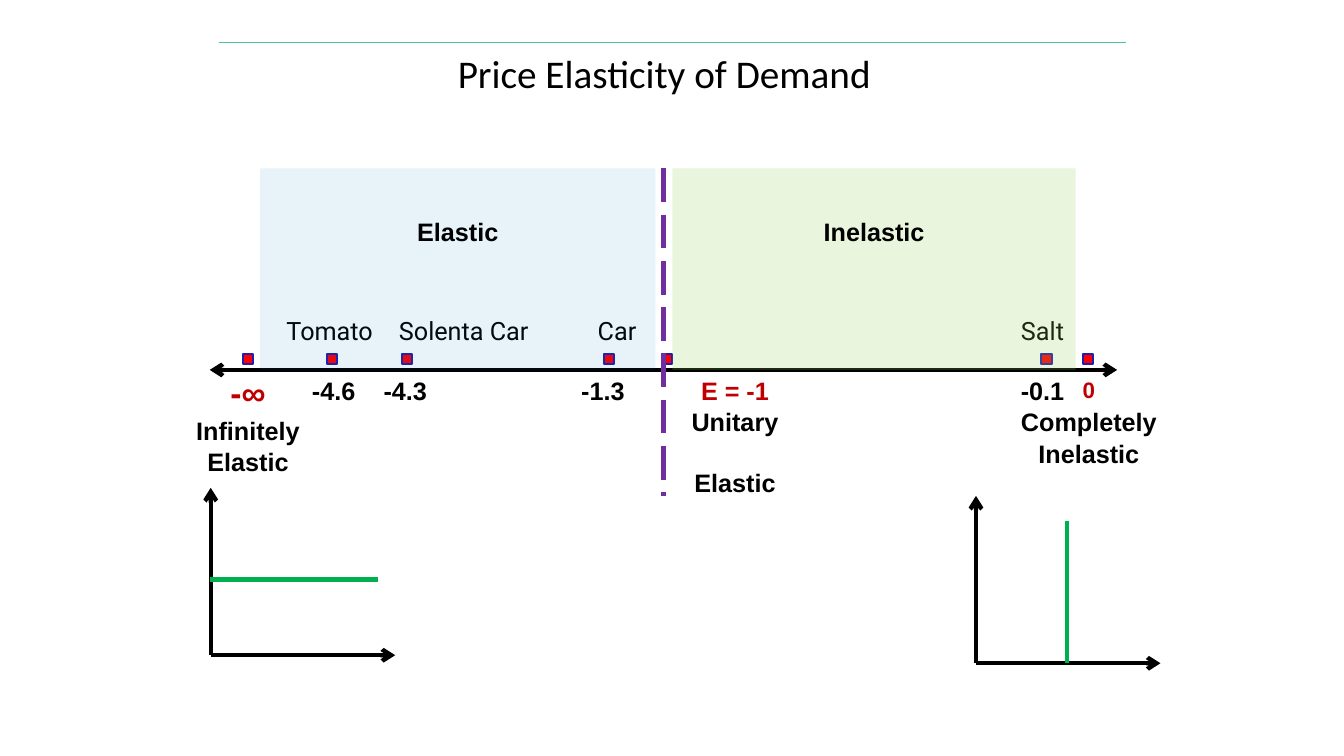
from lxml import etree
from pptx import Presentation
from pptx.dml.color import RGBColor
from pptx.enum import dml, shapes, text
from pptx.oxml import ns
from pptx.util import Inches, Pt

BLACK = RGBColor(0, 0, 0)
DARK_RED = RGBColor(0xC0, 0, 0)
RED = RGBColor(0xFF, 0, 0)
NAVY = RGBColor(0x1F, 0x1F, 0xAC)
PURPLE = RGBColor(0x6F, 0x2F, 0x9F)
GREEN = RGBColor(0, 0xAF, 0x50)
TEAL = RGBColor(0x52, 0xBD, 0x94)
LIME = RGBColor(0x92, 0xD0, 0x50)
BLUE = RGBColor(0, 0x6F, 0xC0)

TITLE = "Price Elasticity of Demand"
AXIS_Y, REGION_TOP, DIVIDER_X = 3.67, 1.67, 6.58
MARK_SIZE, MARK_Y = 0.1, 3.56
MARKS = [2.46, 3.29, 4.04, 6.04, 6.62, 10.38, 10.79]  # centres
PRODUCTS = [("Tomato", 3.27), ("Solenta Car", 4.6), ("Car", 6.12), ("Salt", 10.34)]
VALUES = [("-4.6", 3.31), ("-4.3", 4.02), ("-1.3", 5.98), ("-0.1", 10.34)]
# name, left, width, colour, opacity in percent
REGIONS = [("Inelastic", 6.67, 4, LIME, 20), ("Elastic", 2.58, 3.92, BLUE, 9)]
# origin of each small demand graph, then the ends of its demand line
GRAPHS = [((2.09, 6.5), (3.75, 5.75), (2.08, 5.75)),
          ((9.68, 6.58), (10.58, 6.58), (10.58, 5.17))]
GRAPH_W, GRAPH_H = 1.83, 1.66

prs = Presentation()
prs.slide_width, prs.slide_height = Inches(13.33), Inches(7.5)
s = prs.slides.add_slide(prs.slide_layouts[5])


def zero_margins(tf):
    tf.margin_left = tf.margin_right = tf.margin_top = tf.margin_bottom = 0


def label(lines, cx, top, width=1.4, size=18, font="Arial", bold=True,
          color=BLACK, first=None, gaps=()):
    """Centre lines on cx; first overrides (size, colour) of the first line,
    gaps gives the space in points before each later line."""
    sp = s.shapes.add_textbox(Inches(cx - width / 2), Inches(top), Inches(width),
                              Inches(0.31 * len(lines)))
    tf = sp.text_frame
    tf.word_wrap = True
    zero_margins(tf)
    for i, line in enumerate(lines):
        p = tf.paragraphs[0] if i == 0 else tf.add_paragraph()
        p.alignment = text.PP_ALIGN.CENTER
        if i:
            p.space_before = Pt(gaps[i - 1])
        r = p.add_run()
        r.text = line
        f = r.font
        f.name, f.bold = font, bold
        line_size, f.color.rgb = first if first and i == 0 else (size, color)
        f.size = Pt(line_size)


def line(start, end, color, width=3, arrows=(), dash=None):
    """arrows may hold headEnd (at start) and tailEnd (at end)."""
    c = s.shapes.add_connector(shapes.MSO_CONNECTOR.STRAIGHT,
                               *[Inches(v) for v in (*start, *end)])
    c.line.color.rgb, c.line.width = color, Pt(width)
    if dash:
        c.line.dash_style = dash
    ln = c.line._get_or_add_ln()
    for tag in arrows:
        etree.SubElement(ln, ns.qn("a:" + tag), type="arrow")
    etree.SubElement(c._element.spPr, ns.qn("a:effectLst"))


def rectangle(left, top, width, height, fill, opacity=100, outline=None):
    sp = s.shapes.add_shape(shapes.MSO_SHAPE.RECTANGLE,
                            *[Inches(v) for v in (left, top, width, height)])
    sp.shadow.inherit = False
    sp.fill.solid()
    sp.fill.fore_color.rgb = fill
    if opacity < 100:
        clr = sp._element.spPr.find(".//" + ns.qn("a:srgbClr"))
        etree.SubElement(clr, ns.qn("a:alpha"), val=str(opacity * 1000))
    if outline:
        sp.line.color.rgb, sp.line.width = outline, Pt(1.44)
    else:
        sp.line.fill.background()


title = s.shapes.title
title.left, title.top, title.width, title.height = [
    Inches(v) for v in (4.54, 0.48, 4.91, 0.49)]
tf = title.text_frame
tf.text = TITLE
tf.vertical_anchor = text.MSO_ANCHOR.MIDDLE
zero_margins(tf)
p = tf.paragraphs[0]
p.alignment = text.PP_ALIGN.LEFT
p.font.name, p.font.size, p.font.color.rgb = "Calibri", Pt(28), BLACK

line((2.17, 0.42), (11.17, 0.42), TEAL, 0.75)
line((2.08, AXIS_Y), (11.08, AXIS_Y), BLACK, arrows=("headEnd", "tailEnd"))
for x in MARKS:
    rectangle(x - MARK_SIZE / 2, MARK_Y - MARK_SIZE / 2, MARK_SIZE, MARK_SIZE,
              RED, outline=NAVY)
line((DIVIDER_X, REGION_TOP), (DIVIDER_X, 4.92), PURPLE,
     dash=dml.MSO_LINE.LONG_DASH)

for (x, y), start, end in GRAPHS:
    line((x, y), (x, y - GRAPH_H), BLACK, arrows=["tailEnd"])
    line((x, y), (x + GRAPH_W, y), BLACK, arrows=["tailEnd"])
    line(start, end, GREEN)

for name, x in PRODUCTS:
    label([name], x, 3.13, font="Roboto", bold=False)
for value, x in VALUES:
    label([value], x, 3.72, width=0.6)
label(["0"], 10.8, 3.73, width=0.3, size=16, color=DARK_RED)
label(["-∞", "Infinitely", "Elastic"], 2.46, 3.69, first=(24, DARK_RED), gaps=(2, 1))
label(["E = -1", "Unitary", "Elastic"], 7.29, 3.72, first=(18, DARK_RED), gaps=(1, 22))
label(["Completely", "Inelastic"], 10.8, 4.03, gaps=[1])

for name, left, width, color, opacity in REGIONS:
    rectangle(left, REGION_TOP, width, AXIS_Y - REGION_TOP, color, opacity)
    label([name], left + width / 2, 2.15)

prs.save("out.pptx")
